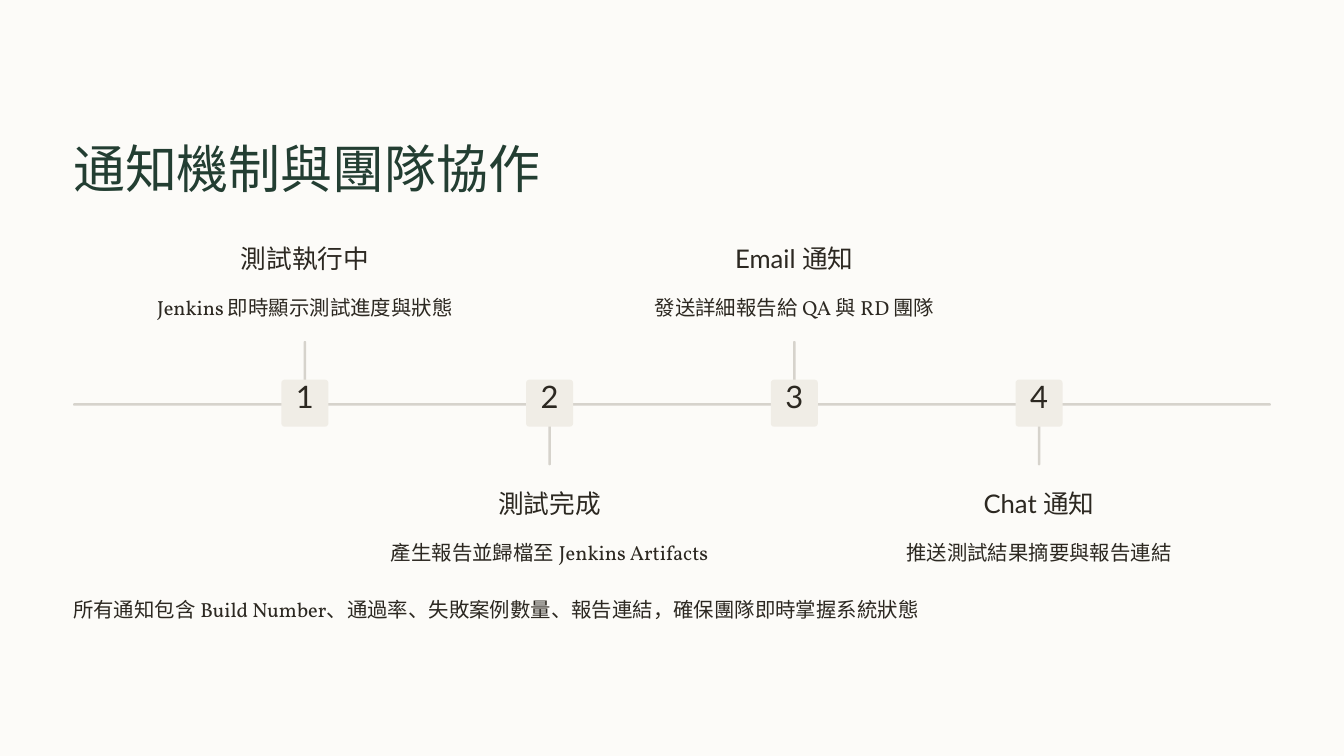
"""Build a slide with a four-step timeline of test notifications."""
from dataclasses import dataclass

from pptx import Presentation
from pptx.dml.color import RGBColor as Rgb
from pptx.enum.shapes import MSO_SHAPE as Kind
from pptx.enum.text import MSO_ANCHOR as Anchor, MSO_AUTO_SIZE as Fit, PP_ALIGN as Align
from pptx.util import Inches, Pt

COLS, ROWS = 16, 9
HUES = {"page": "FCFBF8", "title": "233E32", "text": "2C2821", "line": "D6D3CC", "box": "F0EDE6"}
LEFT, SPAN = 0.87, 14.26
FIRST, LAST = 3.63, 12.37
AXIS, THIN, STEM, SIDE = 4.8, 0.03, 0.74, 0.56
DROP = 2.92


@dataclass(frozen=True)
class Box:
    """Hold a place in grid columns and rows."""
    x: float
    y: float
    w: float
    h: float


@dataclass(frozen=True)
class Style:
    """Hold the look of one kind of text."""
    size: float
    lead: float
    font: str
    hue: str = "text"
    align: Align = Align.CENTER


@dataclass(frozen=True)
class Step:
    """Hold the words of one step."""
    head: str
    note: str


TITLE = Style(44.5, 55.5, "Lato", "title", Align.LEFT)
DIGIT = Style(26.5, 26.5, "Lato")
HEAD = Style(22, 27.5, "Lato")
NOTE = Style(17.5, 28.5, "Vollkorn")
FOOT = Style(17.5, 28.5, "Vollkorn", align=Align.LEFT)

STEPS = [
    Step("測試執行中", "Jenkins 即時顯示測試進度與狀態"),
    Step("測試完成", "產生報告並歸檔至 Jenkins Artifacts"),
    Step("Email 通知", "發送詳細報告給 QA 與 RD 團隊"),
    Step("Chat 通知", "推送測試結果摘要與報告連結"),
]

deck = Presentation()
deck.slide_width, deck.slide_height = Inches(16), Inches(9)
COL, ROW = deck.slide_width / COLS, deck.slide_height / ROWS
slide = deck.slides.add_slide(deck.slide_layouts[5])


def place(box: Box) -> tuple[int, int, int, int]:
    """Turn grid units into slide lengths."""
    return round(box.x * COL), round(box.y * ROW), round(box.w * COL), round(box.h * ROW)


def write(shape, text: str, style: Style) -> None:
    """Set and format the text of a shape."""
    frame = shape.text_frame
    frame.text = text
    frame.word_wrap, frame.auto_size = True, Fit.NONE
    frame.vertical_anchor = Anchor.TOP
    frame.margin_left = frame.margin_right = frame.margin_top = frame.margin_bottom = 0
    para = frame.paragraphs[0]
    para.alignment, para.line_spacing = style.align, Pt(style.lead)
    for run in para.runs:
        run.font.size, run.font.name = Pt(style.size), style.font
        run.font.color.rgb = Rgb.from_string(HUES[style.hue])


def label(box: Box, text: str, style: Style) -> None:
    """Add a text box."""
    write(slide.shapes.add_textbox(*place(box)), text, style)


def block(box: Box, hue: str, bend: float) -> None:
    """Add a plain rounded block."""
    shape = slide.shapes.add_shape(Kind.ROUNDED_RECTANGLE, *place(box))
    shape.adjustments[0] = bend
    shape.shadow.inherit = False
    shape.fill.solid()
    shape.fill.fore_color.rgb = Rgb.from_string(HUES[hue])
    shape.line.fill.background()


def mid(x: float, y: float, w: float, h: float) -> Box:
    """Center a box on a column position."""
    return Box(x - w / 2, y, w, h)


def draw(num: int, step: Step) -> None:
    """Draw one step, above or below the axis in turn."""
    x = FIRST + num * (LAST - FIRST) / (len(STEPS) - 1)
    low = num % 2
    shift = low * DROP
    block(mid(x, AXIS if low else AXIS - STEM, THIN, STEM), "line", 0.5)
    block(mid(x, AXIS - SIDE / 2, SIDE, SIDE), "box", 0.07)
    label(mid(x, 4.57, 0.37, 0.47), str(num + 1), DIGIT)
    label(mid(x, 2.87 + shift, 3.1, 0.39), step.head, HEAD)
    label(mid(x, 3.41 + shift, 5.02, 0.4), step.note, NOTE)


def main() -> None:
    """Draw the slide and save it."""
    back = slide.background.fill
    back.solid()
    back.fore_color.rgb = Rgb.from_string(HUES["page"])
    title = slide.shapes.title
    title.left, title.top, title.width, title.height = place(Box(LEFT, 1.6, 6.2, 0.78))
    write(title, "通知機制與團隊協作", TITLE)
    block(Box(LEFT, AXIS, SPAN, THIN), "line", 0.5)
    for num, step in enumerate(STEPS):
        draw(num, step)
    label(Box(LEFT, 7, SPAN, 0.4),
          "所有通知包含 Build Number、通過率、失敗案例數量、報告連結，確保團隊即時掌握系統狀態", FOOT)
    deck.save("out.pptx")


if __name__ == "__main__":
    main()
